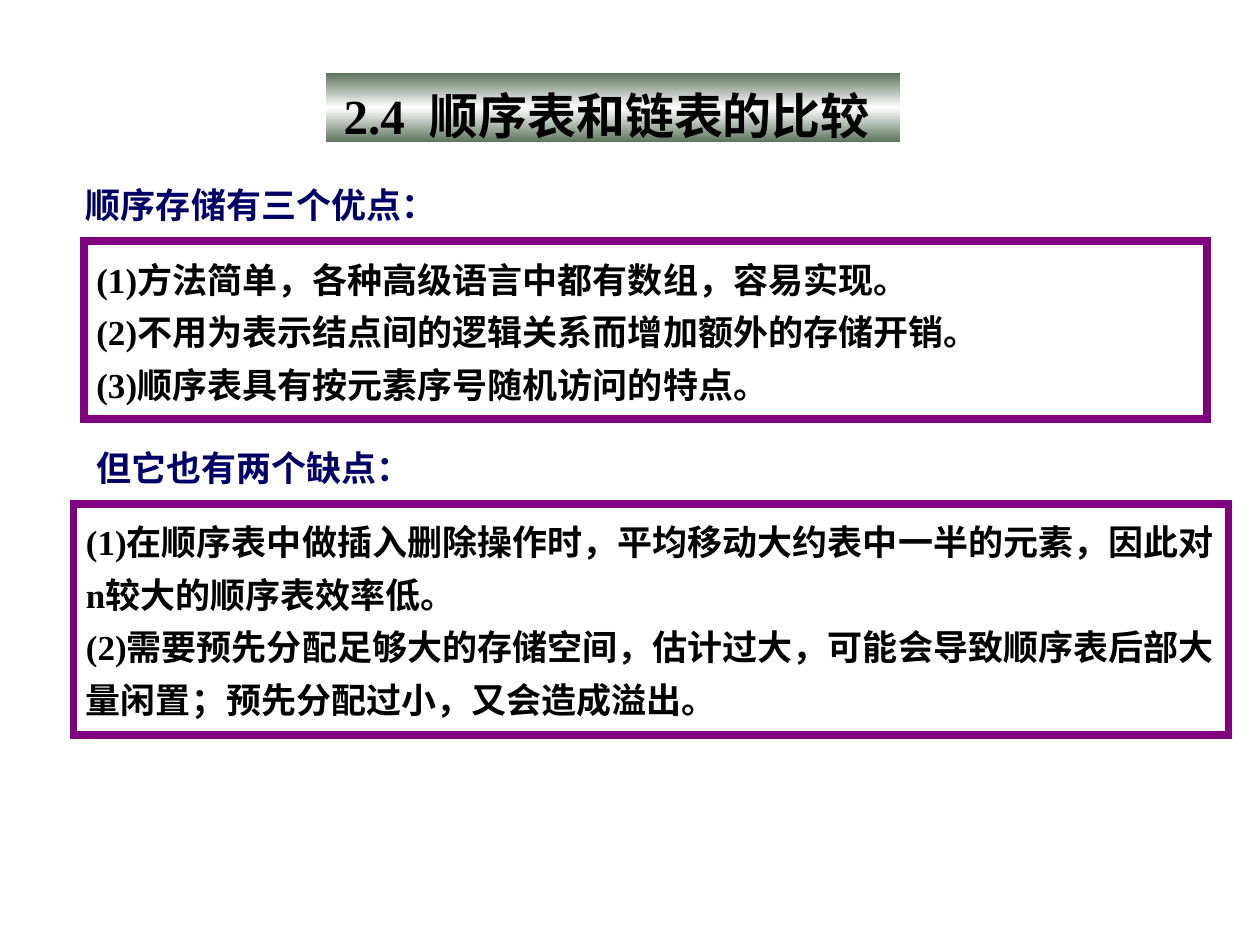
from copy import deepcopy
from dataclasses import dataclass

from lxml.etree import SubElement
from pptx import Presentation
from pptx.dml.color import RGBColor
from pptx.enum.shapes import MSO_SHAPE as Preset
from pptx.enum.text import MSO_ANCHOR as Anchor, MSO_AUTO_SIZE as AutoSize, PP_ALIGN as Align
from pptx.oxml.ns import qn
from pptx.util import Pt

FONT = "Times New Roman"
BLACK, NAVY, PURPLE = "000000", "000066", "800080"
WHITE, GREEN = "FFFFFF", "5E765E"


@dataclass
class Box:
    left: float
    top: float
    width: float
    height: float

    def lengths(self) -> tuple:
        return Pt(self.left), Pt(self.top), Pt(self.width), Pt(self.height)


@dataclass
class Section:
    heading: str
    heading_box: Box
    points: list[str]
    points_box: Box


SECTIONS = [
    Section(
        "顺序存储有三个优点：",
        Box(42, 96, 204, 36),
        [
            "(1)方法简单，各种高级语言中都有数组，容易实现。",
            "(2)不用为表示结点间的逻辑关系而增加额外的存储开销。",
            "(3)顺序表具有按元素序号随机访问的特点。",
        ],
        Box(48, 138, 642, 101.7),
    ),
    Section(
        "但它也有两个缺点：",
        Box(48, 246, 198, 36),
        [
            "(1)在顺序表中做插入删除操作时，平均移动大约表中一半的元素，因此对n较大的顺序表效率低。",
            "(2)需要预先分配足够大的存储空间，估计过大，可能会导致顺序表后部大量闲置；预先分配过小，又会造成溢出。",
        ],
        Box(42, 288, 660, 132),
    ),
]


def rgb(color: str) -> RGBColor:
    return RGBColor.from_string(color)


def write(shape, paragraphs: list[list[str]], *, size=20, color=BLACK,
          align=Align.LEFT, anchor=Anchor.TOP, wrap=True) -> None:
    """Fill a shape with paragraphs, each given as a list of runs."""
    frame = shape.text_frame
    frame.word_wrap = wrap
    frame.vertical_anchor = anchor
    for index, runs in enumerate(paragraphs):
        paragraph = frame.add_paragraph() if index else frame.paragraphs[0]
        paragraph.alignment = align
        paragraph.line_spacing = 1.25
        for text in runs:
            run = paragraph.add_run()
            run.text = text
            run.font.name = FONT
            run.font.size = Pt(size)
            run.font.bold = True
            run.font.color.rgb = rgb(color)


def add_rectangle(slide, box: Box):
    shape = slide.shapes.add_shape(Preset.RECTANGLE, *box.lengths())
    shape.shadow.inherit = False
    return shape


def fill_with_band(shape, edge: str, middle: str) -> None:
    """Apply a vertical gradient running edge, middle, edge."""
    fill = shape.fill
    fill.gradient()
    fill.gradient_angle = 90
    stop_list = shape.element.spPr.find(".//" + qn("a:gsLst"))
    stop_list.insert(1, deepcopy(stop_list[0]))
    for stop, position, color in zip(fill.gradient_stops, (0, 0.5, 1), (edge, middle, edge)):
        stop.position = position
        stop.color.rgb = rgb(color)


def add_title(slide) -> None:
    title = add_rectangle(slide, Box(186, 42, 328.5, 39))
    fill_with_band(title, GREEN, WHITE)
    title.line.fill.background()
    write(title, [["2.4", " ", "顺序表和链表的比较"]], size=28,
          align=Align.CENTER, anchor=Anchor.MIDDLE, wrap=False)
    title.text_frame.margin_right = Pt(14.2)
    gap = title.text_frame.paragraphs[0].runs[1]
    gap.font._element.set("spc", "700")  # widen the space after the number


def add_heading(slide, text: str, box: Box) -> None:
    heading = slide.shapes.add_textbox(*box.lengths())
    write(heading, [[text]], color=NAVY, anchor=Anchor.MIDDLE)


def add_framed_points(slide, points: list[str], box: Box) -> None:
    frame = add_rectangle(slide, box)
    frame.fill.background()
    frame.line.color.rgb = rgb(PURPLE)
    frame.line.width = Pt(4.5)
    SubElement(frame.element.spPr.find(qn("a:ln")), qn("a:miter"), lim="800000")
    write(frame, [[point] for point in points])
    frame.text_frame.auto_size = AutoSize.SHAPE_TO_FIT_TEXT


def main() -> None:
    presentation = Presentation()
    presentation.slide_width, presentation.slide_height = Pt(720), Pt(540)
    slide = presentation.slides.add_slide(presentation.slide_layouts[6])
    add_title(slide)
    for section in SECTIONS:
        add_framed_points(slide, section.points, section.points_box)
        add_heading(slide, section.heading, section.heading_box)
    presentation.save("out.pptx")


if __name__ == "__main__":
    main()
